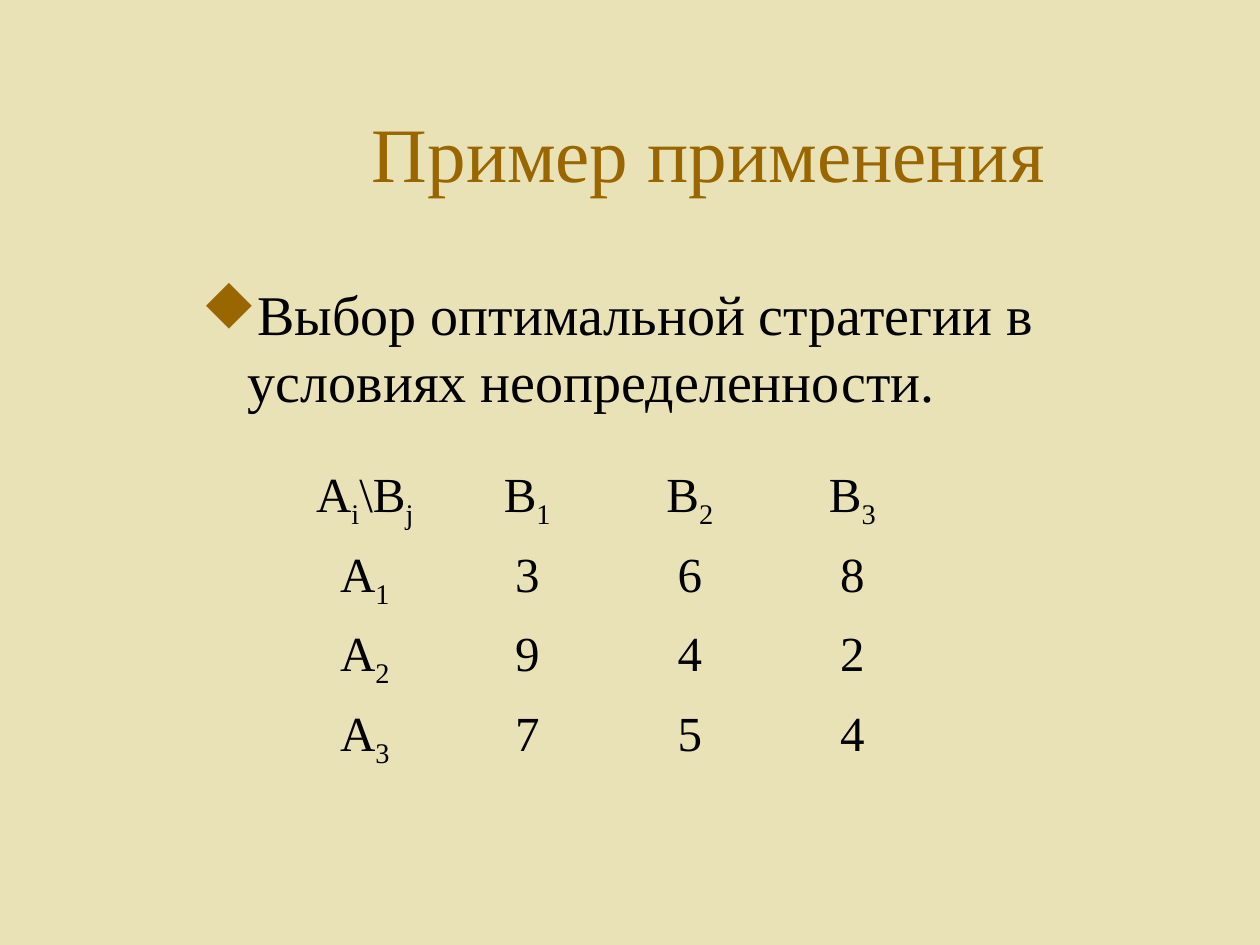
from lxml.etree import SubElement
from pptx import Presentation
from pptx.dml.color import RGBColor
from pptx.enum.text import MSO_ANCHOR as Anchor, PP_ALIGN as Align
from pptx.oxml.ns import qn
from pptx.util import Inches, Pt

# Content: in table cells "_" puts the next letter below the line
TITLE = "Пример применения"
POINT = "Выбор оптимальной стратегии в условиях неопределенности."
GAME = [
    ["A_i\\B_j", "B_1", "B_2", "B_3"],
    ["A_1", "3", "6", "8"],
    ["A_2", "9", "4", "2"],
    ["A_3", "7", "5", "4"],
]
FONT = "Times New Roman"
SAND, BROWN, BLACK = "E9E2B6", "996600", "000000"
COL, ROW = 1.29, 0.63
NO_STYLE = "{2D5ABB26-0587-4C30-8999-92F81FD0307C}"
DIAMOND = "u"  # the diamond's place in Wingdings


def color(code):
    return RGBColor.from_string(code)


def add_run(para, text, size, code, sub=False):
    run = para.add_run()
    run.text = text
    run.font.name, run.font.size = FONT, Pt(size)
    run.font.color.rgb = color(code)
    if sub:
        run._r.get_or_add_rPr().set("baseline", "-25000")


def add_box(slide, left, top, width, height):
    frame = slide.shapes.add_textbox(
        Inches(left), Inches(top), Inches(width), Inches(height)).text_frame
    frame.word_wrap = True
    return frame


def add_bullet(para, sign, code, indent):
    props = para._p.get_or_add_pPr()
    props.set("marL", str(Inches(indent)))
    props.set("indent", str(-Inches(indent)))
    tint = SubElement(props, qn("a:buClr"))
    SubElement(tint, qn("a:srgbClr"), val=code)
    SubElement(props, qn("a:buFont"), typeface="Wingdings", charset="2")
    SubElement(props, qn("a:buChar"), char=sign)


def fill_cell(cell, text):
    cell.fill.background()
    para = cell.text_frame.paragraphs[0]
    para.alignment = Align.CENTER
    first, *rest = text.split("_")
    add_run(para, first, 28, BLACK)
    for part in rest:
        add_run(para, part[0], 28, BLACK, sub=True)
        if part[1:]:
            add_run(para, part[1:], 28, BLACK)


prs = Presentation()
prs.slide_width, prs.slide_height = Inches(10), Inches(7.5)
slide = prs.slides.add_slide(prs.slide_layouts[6])
slide.background.fill.solid()
slide.background.fill.fore_color.rgb = color(SAND)

# Title
frame = add_box(slide, 1.5, 0.58, 8.25, 1.25)
frame.vertical_anchor = Anchor.MIDDLE
frame.paragraphs[0].alignment = Align.CENTER
add_run(frame.paragraphs[0], TITLE, 44, BROWN)

# Bullet point
para = add_box(slide, 1.5, 2.17, 8.33, 4.5).paragraphs[0]
add_bullet(para, DIAMOND, BROWN, 0.37)
add_run(para, POINT, 32, BLACK)

# Payoff table
rows, cols = len(GAME), len(GAME[0])
table = slide.shapes.add_table(
    rows, cols, Inches(2.25), Inches(3.67),
    Inches(COL * cols), Inches(ROW * rows)).table
table.first_row = table.horz_banding = False
table._tbl.tblPr.find(qn("a:tableStyleId")).text = NO_STYLE
for col in table.columns:
    col.width = Inches(COL)
for r, line in enumerate(GAME):
    table.rows[r].height = Inches(ROW)
    for c, text in enumerate(line):
        fill_cell(table.cell(r, c), text)

prs.save("out.pptx")
